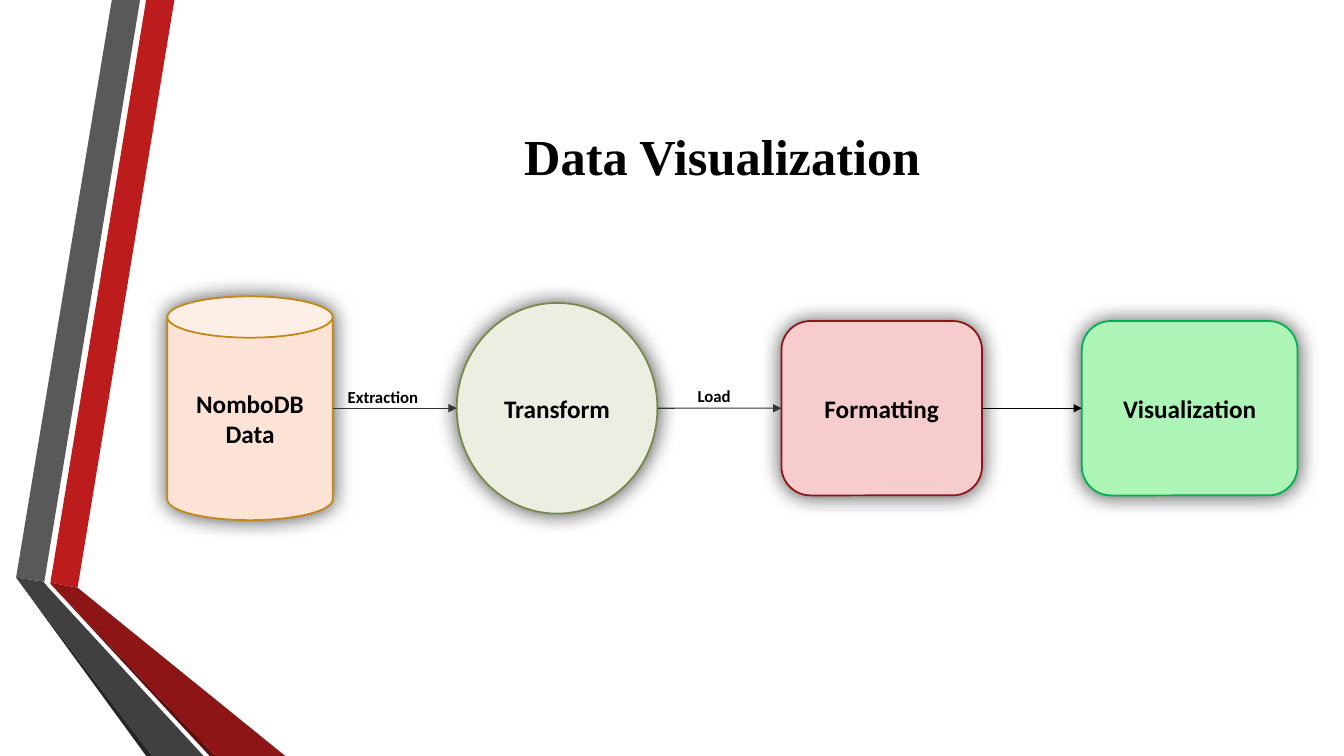
from itertools import pairwise

from lxml import etree
from pptx import Presentation
from pptx.dml.color import RGBColor
from pptx.enum.shapes import MSO_CONNECTOR, MSO_SHAPE
from pptx.enum.text import MSO_ANCHOR, PP_ALIGN
from pptx.oxml.ns import qn
from pptx.util import Inches, Pt

CAN, ELLIPSE, ROUNDED = MSO_SHAPE.CAN, MSO_SHAPE.OVAL, MSO_SHAPE.ROUNDED_RECTANGLE
STRAIGHT = MSO_CONNECTOR.STRAIGHT
LEFT, CENTER = PP_ALIGN.LEFT, PP_ALIGN.CENTER
TOP, MIDDLE = MSO_ANCHOR.TOP, MSO_ANCHOR.MIDDLE
LEFT_SITE, RIGHT_SITE = 1, 3

BLACK = RGBColor(0x00, 0x00, 0x00)
CHARCOAL = RGBColor(0x32, 0x35, 0x36)
RED = RGBColor(0xBC, 0x1C, 0x1C)
DARK_RED = RGBColor(0x8D, 0x15, 0x15)
DEEP_RED = RGBColor(0x5E, 0x0E, 0x0E)
GRAY = RGBColor(0x59, 0x59, 0x59)
DARK_GRAY = RGBColor(0x40, 0x40, 0x40)
DEEP_GRAY = RGBColor(0x26, 0x26, 0x26)
PEACH = RGBColor(0xFD, 0xE3, 0xD6)
OCHRE = RGBColor(0xC3, 0x87, 0x14)
PALE_OLIVE = RGBColor(0xEB, 0xEF, 0xE1)
OLIVE = RGBColor(0x77, 0x89, 0x48)
PINK = RGBColor(0xF7, 0xCC, 0xCC)
MINT = RGBColor(0xAD, 0xF5, 0xB6)
GREEN = RGBColor(0x00, 0xB0, 0x50)

RIBBONS = [
    (RED, [(0.5, 5.78), (0.77, 5.83), (1.73, 0), (1.45, 0)]),
    (GRAY, [(1.39, 0), (1.11, 0), (0.16, 5.73), (0.44, 5.77)]),
    (DEEP_GRAY, [(0.16, 5.73), (1.45, 7.5), (1.51, 7.5)]),
    (DEEP_RED, [(0.5, 5.79), (2.08, 7.5), (2.14, 7.5)]),
    (DARK_RED, [(0.5, 5.79), (2.14, 7.5), (2.83, 7.5), (0.77, 5.83), (0.5, 5.78)]),
    (DARK_GRAY, [(2.02, 7.5), (0.48, 5.83), (0.43, 5.77), (0.16, 5.73), (1.51, 7.5)]),
]
STAGES = [
    ("NomboDB Data", CAN, 0, 1.64, 2.22, PEACH, OCHRE),
    ("Transform", ELLIPSE, 2.87, 1.99, 2.09, PALE_OLIVE, OLIVE),
    ("Formatting", ROUNDED, 6.09, 1.99, 1.73, PINK, DARK_RED),
    ("Visualization", ROUNDED, 9.07, 2.14, 1.73, MINT, GREEN),
]
ARROW_COLORS = [CHARCOAL, CHARCOAL, BLACK]
STEP_LABELS = [("Extraction", 1.69, 0.85, 1.19), ("Load", 5.16, 0.84, 1.04)]


def write_text(shape, text, size=18, font="Calibri", align=CENTER, anchor=MIDDLE):
    """Fill a shape with one bold black paragraph."""
    frame = shape.text_frame
    frame.word_wrap = True
    frame.vertical_anchor = anchor
    paragraph = frame.paragraphs[0]
    paragraph.alignment = align
    run = paragraph.add_run()
    run.text = text
    run.font.size = Pt(size)
    run.font.name = font
    run.font.bold = True
    run.font.color.rgb = BLACK


def add_glow_shadow(shape):
    """Give a shape a soft, centred black shadow."""
    effects = etree.SubElement(shape._element.spPr, qn("a:effectLst"))
    shadow = etree.SubElement(effects, qn("a:outerShdw"), blurRad=str(Pt(15)),
                              dist="0", dir="0", algn="ctr", rotWithShape="0")
    color = etree.SubElement(shadow, qn("a:srgbClr"), val=str(BLACK))
    etree.SubElement(color, qn("a:alpha"), val="70000")


def add_ribbons(slide, left, top):
    """Draw the folded gray and red ribbons from the given corner."""
    for color, outline in RIBBONS:
        points = [(Inches(left + x), Inches(top + y)) for x, y in outline]
        builder = slide.shapes.build_freeform(*points[0])
        builder.add_line_segments(points[1:], close=True)
        ribbon = builder.convert_to_shape()
        ribbon.shadow.inherit = False
        ribbon.fill.solid()
        ribbon.fill.fore_color.rgb = color
        ribbon.line.fill.background()


def add_label(slide, text, left, top, width, height, **text_format):
    """Place a text box in the given box."""
    label = slide.shapes.add_textbox(Inches(left), Inches(top), Inches(width), Inches(height))
    write_text(label, text, anchor=TOP, **text_format)


def add_stage(slide, text, kind, left, middle, width, height, fill, outline):
    """Draw one pipeline stage centred on the middle line."""
    stage = slide.shapes.add_shape(kind, Inches(left), Inches(middle - height / 2),
                                   Inches(width), Inches(height))
    stage.fill.solid()
    stage.fill.fore_color.rgb = fill
    stage.line.color.rgb = outline
    stage.line.width = Pt(1.25)
    add_glow_shadow(stage)
    write_text(stage, text)
    return stage


def add_arrow(slide, source, target, middle, color):
    """Link two stages along the middle line."""
    arrow = slide.shapes.add_connector(STRAIGHT, source.left + source.width, middle,
                                       target.left, middle)
    if source.auto_shape_type == ROUNDED:
        arrow.begin_connect(source, RIGHT_SITE)
    if target.auto_shape_type == ROUNDED:
        arrow.end_connect(target, LEFT_SITE)
    arrow.line.color.rgb = color
    arrow.line.width = Pt(0.75)
    etree.SubElement(arrow.line._get_or_add_ln(), qn("a:tailEnd"), type="triangle")
    etree.SubElement(arrow._element.spPr, qn("a:effectLst"))


def add_pipeline(slide, left, top, height):
    """Draw the stages, their arrows and the step labels in the given band."""
    middle = top + height / 2
    stages = [add_stage(slide, text, kind, left + x, middle, *look)
              for text, kind, x, *look in STAGES]
    for (source, target), color in zip(pairwise(stages), ARROW_COLORS):
        add_arrow(slide, source, target, Inches(middle), color)
    for text, x, y, width in STEP_LABELS:
        add_label(slide, text, left + x, top + y, width, 0.35, size=12, align=LEFT)


def main():
    """Build the slide and save it."""
    deck = Presentation()
    deck.slide_width, deck.slide_height = Inches(13.33), Inches(7.5)
    slide = deck.slides.add_slide(deck.slide_layouts[6])
    add_ribbons(slide, 0, 0)
    add_label(slide, "Data Visualization", 1.81, 1.19, 10.71, 0.71,
              size=36, font="Times New Roman")
    add_pipeline(slide, 1.66, 2.94, 2.22)
    deck.save("out.pptx")


if __name__ == "__main__":
    main()
